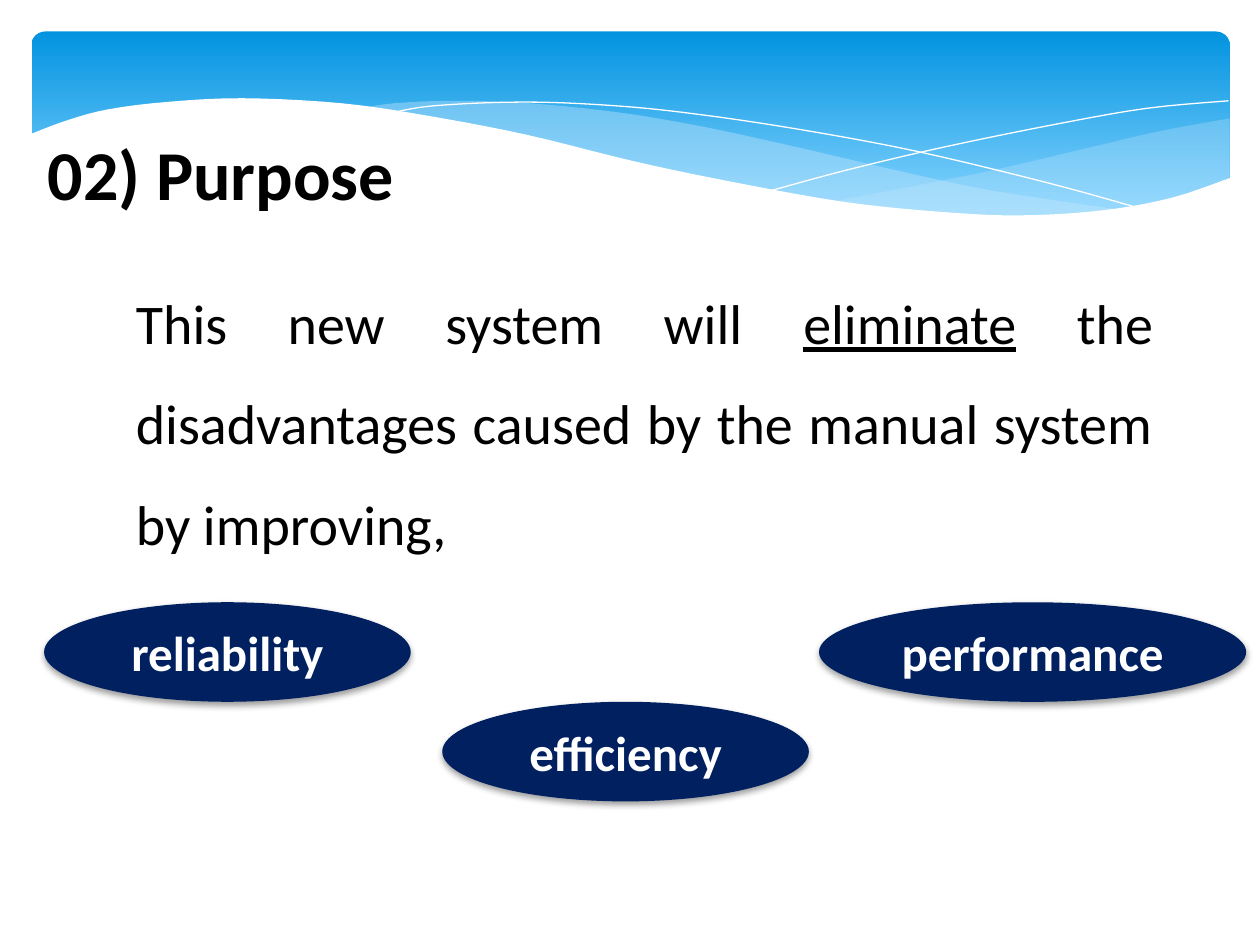
"""Build the Purpose slide: a wave banner, a statement and three improvement goals."""
from lxml.etree import SubElement
from pptx import Presentation
from pptx.dml.color import RGBColor
from pptx.enum.shapes import MSO_SHAPE
from pptx.enum.text import MSO_ANCHOR, PP_ALIGN
from pptx.oxml.ns import qn
from pptx.util import Inches, Pt

COLORS = {
    "sky": "0293E0", "pale_sky": "83D3FE", "mist": "C6E7FC",
    "navy": "002060", "white": "FFFFFF", "black": "000000",
}
PALETTE = {name: RGBColor.from_string(value) for name, value in COLORS.items()}

deck = Presentation()
deck.slide_width, deck.slide_height = Inches(10), Inches(7.5)
column, row = deck.slide_width / 100, deck.slide_height / 75
page = deck.slides.add_slide(deck.slide_layouts[6])


def smooth(knots, steps=5):
    padded = [knots[0], *knots, knots[-1]]
    points = [knots[0]]
    for a, b, c, d in zip(padded, padded[1:], padded[2:], padded[3:]):
        for step in range(1, steps + 1):
            t = step / steps
            points.append(tuple(
                q + t * (r - p + t * (2 * p - 5 * q + 4 * r - s + t * (3 * (q - r) + s - p))) / 2
                for p, q, r, s in zip(a, b, c, d)))
    return points


def write(paragraph, text, size, color, bold=False, underline=False):
    span = paragraph.add_run()
    span.text = text
    span.font.name, span.font.size = "Calibri", Pt(size)
    span.font.bold, span.font.underline = bold, underline
    span.font.color.rgb = PALETTE[color]


banner = page.shapes.add_shape(
    MSO_SHAPE.ROUNDED_RECTANGLE, *(round(v) for v in (2.5 * column, 2.5 * row, 95.1 * column, 15.6 * row)))
banner.adjustments[0] = 0.07
banner.shadow.inherit = False
banner.line.fill.background()
banner.fill.gradient()
banner.fill.gradient_angle = 270
for stop, position, name in zip(banner.fill.gradient_stops, (0, 0.9), ("sky", "pale_sky")):
    stop.position, stop.color.rgb = position, PALETTE[name]

waves = [
    ("mist", 29, [
        [(97.6, 9.4), (92.1, 10.4), (86.1, 11.8), (77.9, 13.7), (66.1, 16)],
        [(66.1, 16), (71.9, 16.7), (76.9, 17.1), (81.4, 17.2), (86.3, 17),
         (90.5, 16.3), (94.2, 15.4), (97.6, 14.1)]]),
    ("mist", 40, [
        [(89.3, 16.7), (83.7, 15.9), (77.5, 14.9), (70.6, 13.4), (62.9, 11.6), (55.5, 10),
         (48.9, 8.9), (42, 8.2), (36.1, 8), (31.3, 8.2), (28.6, 8.6)],
        [(28.6, 8.6), (34.2, 9.4), (40.4, 10.6), (49.1, 12.6), (56.6, 14.3), (63.4, 15.6),
         (69.5, 16.5), (76.1, 17.1), (81.8, 17.3), (85.7, 17.1), (89.3, 16.7)]]),
    (None, 100, [
        [(30.9, 9), (34.4, 8.4), (41.6, 8.1), (48.9, 8.4), (55.6, 9.1), (63.6, 10.3),
         (72.7, 12), (83.1, 14.5), (90.7, 16.6)]]),
    (None, 100, [
        [(61.3, 15.1), (67.2, 13.5), (74.8, 11.7), (83.6, 9.9), (91, 8.6), (97.5, 8)]]),
    ("white", 100, [
        [(97.7, 14.1), (93, 15.7), (87.5, 16.7), (80.9, 17.1), (74.4, 16.8), (66.8, 16),
         (57.9, 14.4), (50.3, 12.8), (41.8, 10.7), (34, 9.2), (27.1, 8.2), (19.3, 7.8),
         (13.2, 8.1), (8.5, 8.7), (5.2, 9.6), (2.3, 10.7)],
        [(2.3, 22.4), (97.7, 22.4)]]),
]
for fill, opacity, curves in waves:
    points = [(x * column, y * row) for knots in curves
              for x, y in (smooth(knots) if len(knots) > 2 else knots)]
    builder = page.shapes.build_freeform(*points[0])
    builder.add_line_segments(points[1:], close=fill is not None)
    wave = builder.convert_to_shape()
    wave.shadow.inherit = False
    if fill:
        wave.fill.solid()
        wave.fill.fore_color.rgb = PALETTE[fill]
        wave.line.fill.background()
        if opacity < 100:
            tint = wave._element.spPr.find(f"{qn('a:solidFill')}/{qn('a:srgbClr')}")
            SubElement(tint, qn("a:alpha"), val=str(opacity * 1000))
    else:
        wave.fill.background()
        wave.line.color.rgb = PALETTE["white"]
        wave.line.width = Pt(0)

texts = [
    ((2.8, 9.9, 57.5, 7.7), PP_ALIGN.LEFT, 1, 40, True, [("02) Purpose", False)]),
    ((9.8, 19.7, 82.7, 25.2), PP_ALIGN.JUSTIFY, 1.5, 32, False, [
        ("This new system will ", False), ("eliminate", True),
        (" the disadvantages caused by the manual system by improving,", False)]),
]
for (x, y, width, height), alignment, spacing, size, bold, spans in texts:
    box = page.shapes.add_textbox(
        *(round(v) for v in (x * column, y * row, width * column, height * row)))
    box.text_frame.word_wrap = True
    paragraph = box.text_frame.paragraphs[0]
    paragraph.alignment, paragraph.line_spacing = alignment, spacing
    for text, underline in spans:
        write(paragraph, text, size, "black", bold, underline)

goals = [("reliability", 3.5, 47.8, 29.1), ("efficiency", 35.1, 55.7, 29.1),
         ("performance", 65, 47.8, 33.9)]
for label, x, y, width in goals:
    goal = page.shapes.add_shape(
        MSO_SHAPE.OVAL, *(round(v) for v in (x * column, y * row, width * column, 7.9 * row)))
    goal.fill.solid()
    goal.fill.fore_color.rgb = PALETTE["navy"]
    goal.line.fill.background()
    goal.shadow.inherit = False
    shadow = SubElement(
        goal._element.spPr.find(qn("a:effectLst")), qn("a:outerShdw"),
        blurRad=str(Pt(4)), dist=str(Pt(2)), dir="5400000", rotWithShape="0")
    shade = SubElement(shadow, qn("a:srgbClr"), val=COLORS["black"])
    SubElement(shade, qn("a:alpha"), val="38000")
    goal.text_frame.vertical_anchor = MSO_ANCHOR.MIDDLE
    paragraph = goal.text_frame.paragraphs[0]
    paragraph.alignment = PP_ALIGN.CENTER
    write(paragraph, label, 28, "white", bold=True)

deck.save("out.pptx")
